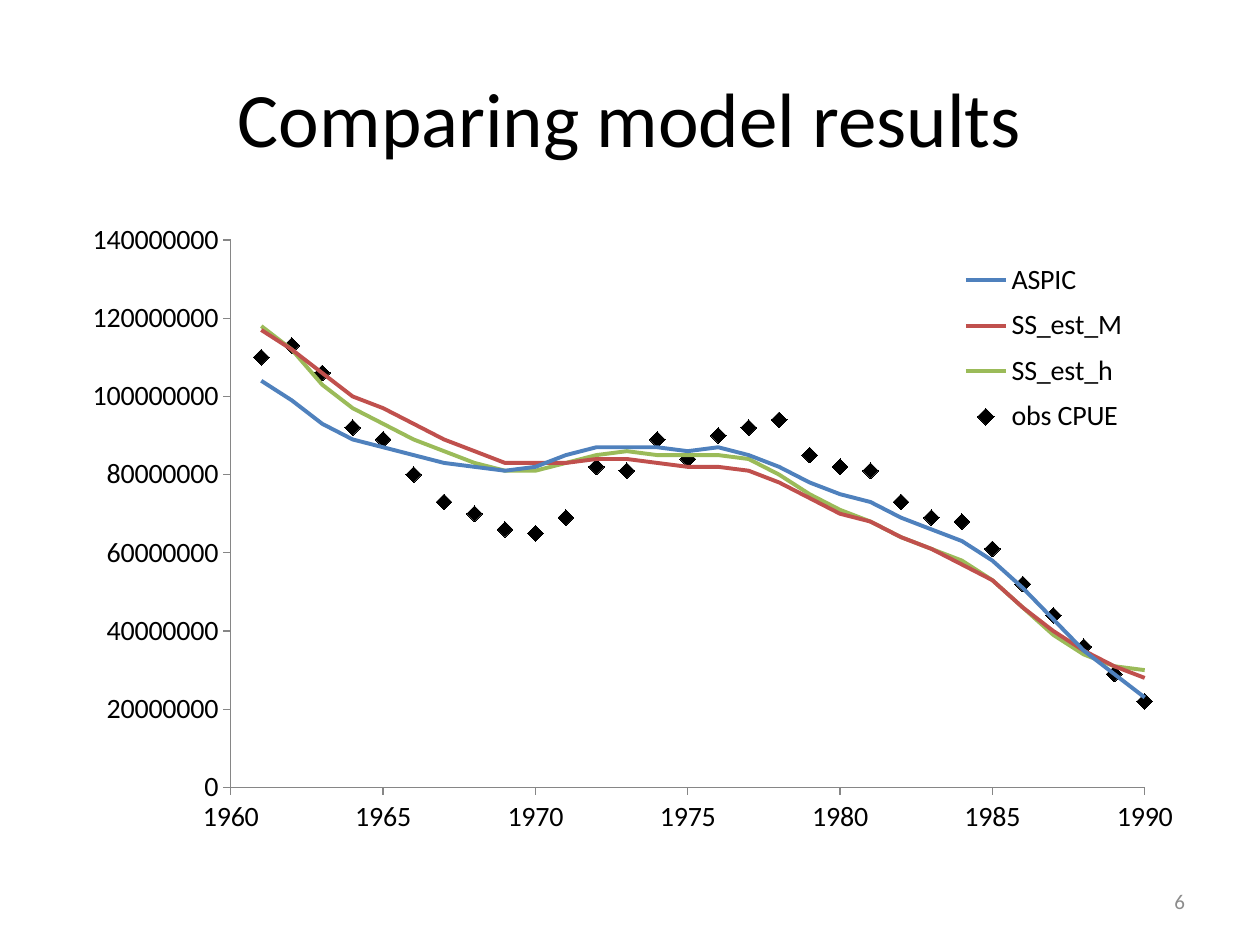
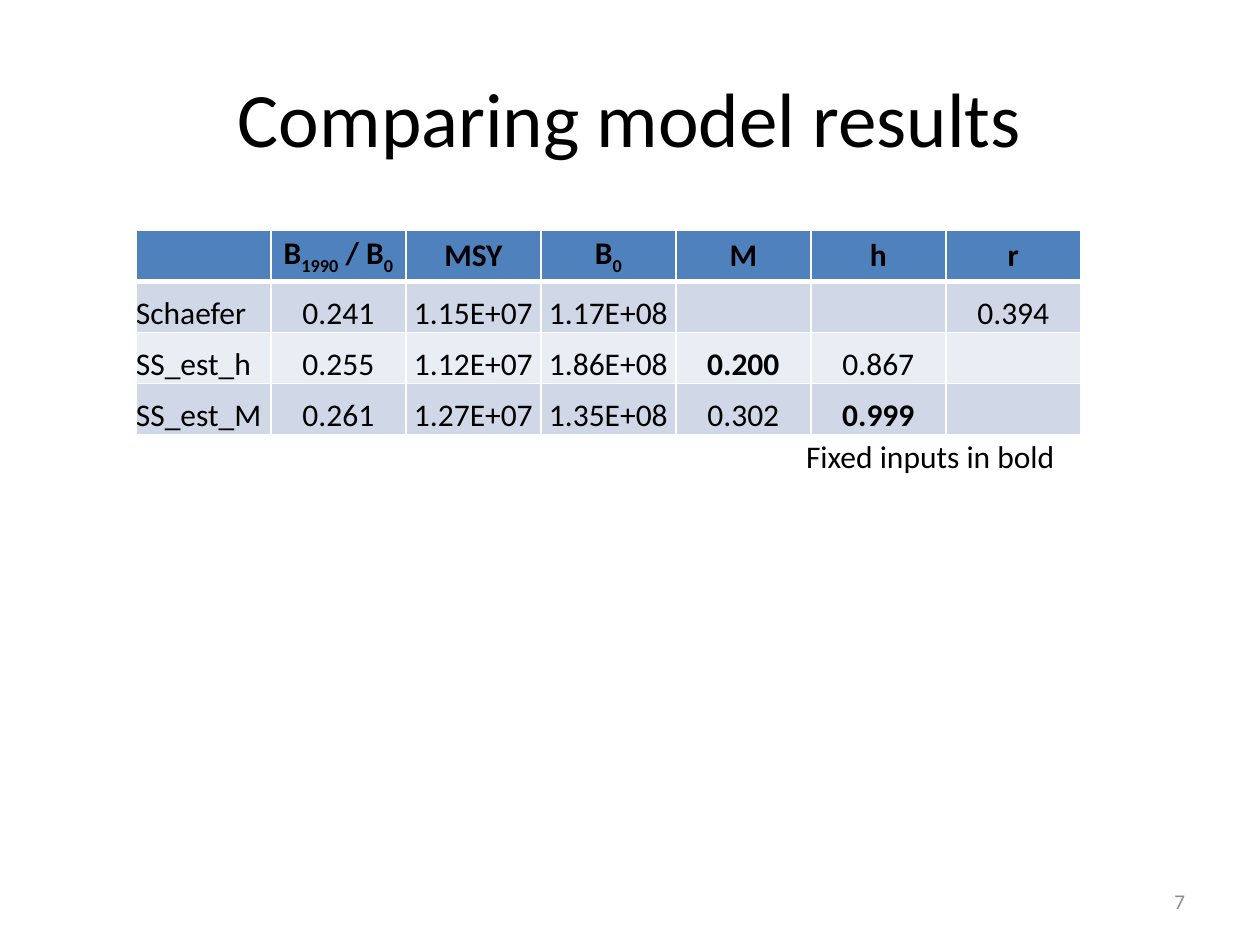
from lxml.etree import SubElement
from pptx import Presentation
from pptx.chart.data import XyChartData
from pptx.dml.color import RGBColor
from pptx.enum.chart import XL_CHART_TYPE as ChartType
from pptx.enum.chart import XL_LEGEND_POSITION as LegendSide
from pptx.enum.chart import XL_MARKER_STYLE as Marker
from pptx.enum.chart import XL_TICK_MARK as Tick
from pptx.enum.text import MSO_ANCHOR as Anchor
from pptx.enum.text import PP_ALIGN as Align
from pptx.oxml import parse_xml
from pptx.oxml.ns import nsdecls, qn
from pptx.util import Cm, Pt

# Shared look
FONT = "Calibri"
BLACK = RGBColor(0x00, 0x00, 0x00)
WHITE = RGBColor(0xFF, 0xFF, 0xFF)
GREY = RGBColor(0x8C, 0x8C, 0x8C)
AXIS_GREY = RGBColor(0x86, 0x86, 0x86)
BLUE = RGBColor(0x4F, 0x81, 0xBD)
RED = RGBColor(0xC0, 0x50, 0x4D)
GREEN = RGBColor(0x9B, 0xBB, 0x59)
BAND_DARK = RGBColor(0xD0, 0xD8, 0xE8)
BAND_LIGHT = RGBColor(0xE9, 0xED, 0xF4)

# Boxes in cm: left, top, width, height
TITLE_BOX = (1.27, 0.76, 22.86, 3.18)
CHART_BOX = (1.27, 4.45, 22.86, 12.57)
TABLE_BOX = (2.74, 4.65, 19.05, 4.11)
NOTE_BOX = (16, 8.69, 5.59, 1.02)
NUMBER_BOX = (18.21, 17.65, 5.93, 1.02)

# Biomass by year, in millions
YEARS = range(1961, 1991)
BIOMASS = {
    "ASPIC": (BLUE, [
        104, 99, 93, 89, 87, 85, 83, 82, 81, 82, 85, 87, 87, 87, 86,
        87, 85, 82, 78, 75, 73, 69, 66, 63, 58, 51, 43, 35, 29, 23]),
    "SS_est_M": (RED, [
        117, 112, 106, 100, 97, 93, 89, 86, 83, 83, 83, 84, 84, 83, 82,
        82, 81, 78, 74, 70, 68, 64, 61, 57, 53, 46, 40, 35, 31, 28]),
    "SS_est_h": (GREEN, [
        118, 112, 103, 97, 93, 89, 86, 83, 81, 81, 83, 85, 86, 85, 85,
        85, 84, 80, 75, 71, 68, 64, 61, 58, 53, 46, 39, 34, 31, 30]),
    "obs CPUE": (None, [
        110, 113, 106, 92, 89, 80, 73, 70, 66, 65, 69, 82, 81, 89, 84,
        90, 92, 94, 85, 82, 81, 73, 69, 68, 61, 52, 44, 36, 29, 22]),
}
MILLION = 1_000_000

# An underscore pair marks a subscript in the header
HEADER = ["", "B|1990| / B|0", "MSY", "B|0", "M", "h", "r"]
MODELS = [
    ["Schaefer", "0.241", "1.15E+07", "1.17E+08", "", "", "0.394"],
    ["SS_est_h", "0.255", "1.12E+07", "1.86E+08", "0.200", "0.867", ""],
    ["SS_est_M", "0.261", "1.27E+07", "1.35E+08", "0.302", "0.999", ""],
]
FIXED_INPUTS = {"0.200", "0.999"}


def apply(target, **formats):
    for attribute, value in formats.items():
        setattr(target, attribute, value)


def format_font(font, size, color=BLACK, bold=False):
    apply(font, name=FONT, size=Pt(size), bold=bold)
    font.color.rgb = color


def in_cm(box):
    return [Cm(length) for length in box]


def add_text(slide, box, text, size, color=BLACK, align=Align.LEFT,
             anchor=Anchor.TOP, wrap=True):
    frame = slide.shapes.add_textbox(*in_cm(box)).text_frame
    apply(frame, word_wrap=wrap, vertical_anchor=anchor, text=text)
    frame.paragraphs[0].alignment = align
    format_font(frame.paragraphs[0].font, size, color)


def add_titled_slide(deck, title, number):
    slide = deck.slides.add_slide(deck.slide_layouts[5])
    heading = slide.shapes.title
    left, top, width, height = in_cm(TITLE_BOX)
    apply(heading, left=left, top=top, width=width, height=height)
    apply(heading.text_frame, text=title, vertical_anchor=Anchor.MIDDLE)
    heading.text_frame.paragraphs[0].alignment = Align.CENTER
    format_font(heading.text_frame.paragraphs[0].font, 44)
    add_text(slide, NUMBER_BOX, str(number), 12, GREY, Align.RIGHT, Anchor.MIDDLE)
    return slide


# Chart parts
def place_in_chart(part, position, fractions, inner=False):
    """Give a plot area or legend a place as fractions of the chart."""
    for old in part.findall(qn("c:layout")):
        part.remove(old)
    layout = parse_xml(f"<c:layout {nsdecls('c')}><c:manualLayout/></c:layout>")
    settings = [("layoutTarget", "inner")] if inner else []
    settings += [("xMode", "edge"), ("yMode", "edge")]
    settings += zip("xywh", fractions)
    for tag, value in settings:
        SubElement(layout[0], qn(f"c:{tag}")).set("val", str(value))
    part.insert(position, layout)


def format_axis(axis, low, high, step):
    apply(axis, minimum_scale=low, maximum_scale=high, major_unit=step,
          has_major_gridlines=False, major_tick_mark=Tick.OUTSIDE,
          minor_tick_mark=Tick.NONE)
    apply(axis.tick_labels, number_format="0", number_format_is_linked=False)
    format_font(axis.tick_labels.font, 16)
    axis.format.line.color.rgb = AXIS_GREY
    axis.format.line.width = Pt(0.75)


def format_series(series, color):
    series.smooth = False
    if color is None:
        series.format.line.fill.background()
        apply(series.marker, style=Marker.DIAMOND, size=9)
        series.marker.format.fill.solid()
        series.marker.format.fill.fore_color.rgb = BLACK
        series.marker.format.line.color.rgb = BLACK
    else:
        series.marker.style = Marker.NONE
        series.format.line.width = Pt(2.25)
        series.format.line.color.rgb = color


def add_biomass_chart(slide, box):
    data = XyChartData()
    for name, (_, biomass) in BIOMASS.items():
        points = data.add_series(name)
        for year, millions in zip(YEARS, biomass):
            points.add_data_point(year, millions * MILLION)
    chart = slide.shapes.add_chart(
        ChartType.XY_SCATTER_LINES_NO_MARKERS, *in_cm(box), data).chart
    apply(chart, has_title=False, has_legend=True)
    format_font(chart.font, 10)
    chart.plots[0].vary_by_categories = False
    for series, (color, _) in zip(chart.plots[0].series, BIOMASS.values()):
        format_series(series, color)
    format_axis(chart.category_axis, 1960, 1990, 5)
    format_axis(chart.value_axis, 0, 140 * MILLION, 20 * MILLION)

    legend = chart.legend
    apply(legend, position=LegendSide.RIGHT, include_in_layout=False)
    format_font(legend.font, 16)
    place_in_chart(legend._element, 1, (0.78, 0.05, 0.17, 0.31))
    plot_area = chart._chartSpace.chart.plotArea
    place_in_chart(plot_area, 0, (0.148, 0.031, 0.806, 0.878), inner=True)


# Table parts
def add_borders(cell, **widths):
    properties = cell._tc.get_or_add_tcPr()
    for position, (side, points) in enumerate(widths.items()):
        properties.insert(position, parse_xml(
            f'<a:ln{side} {nsdecls("a")} w="{Pt(points)}"><a:solidFill>'
            f'<a:srgbClr val="{WHITE}"/></a:solidFill></a:ln{side}>'))


def fill_cell(cell, text, fill, align, anchor, bold):
    apply(cell, margin_left=0, margin_right=0, margin_top=0, margin_bottom=0,
          vertical_anchor=anchor)
    cell.fill.solid()
    cell.fill.fore_color.rgb = fill
    paragraph = cell.text_frame.paragraphs[0]
    paragraph.alignment = align
    format_font(paragraph.font, 18)
    for index, piece in enumerate(text.split("|") if text else []):
        run = paragraph.add_run()
        run.text = piece
        format_font(run.font, 18, bold=bold)
        if index % 2:
            run._r.get_or_add_rPr().set("baseline", "-25000")


def add_model_table(slide, box):
    rows = [HEADER, *MODELS]
    table = slide.shapes.add_table(len(rows), len(HEADER), *in_cm(box)).table
    for column in table.columns:
        column.width = Cm(box[2] / len(HEADER))
    for row_index, texts in enumerate(rows):
        table.rows[row_index].height = Cm(box[3] / len(rows))
        is_header = row_index == 0
        fill = BLUE if is_header else (BAND_LIGHT, BAND_DARK)[row_index % 2]
        anchor = Anchor.MIDDLE if is_header else Anchor.BOTTOM
        for column_index, text in enumerate(texts):
            cell = table.cell(row_index, column_index)
            align = Align.CENTER if is_header or column_index else Align.LEFT
            fill_cell(cell, text, fill, align, anchor,
                      bold=is_header or text in FIXED_INPUTS)
            add_borders(cell, L=1, R=1, T=3 if row_index == 1 else 1,
                        B=3 if is_header else 1)


def main():
    deck = Presentation()
    apply(deck, slide_width=Cm(25.4), slide_height=Cm(19.05))

    trends = add_titled_slide(deck, "Comparing model results", 6)
    add_biomass_chart(trends, CHART_BOX)

    estimates = add_titled_slide(deck, "Comparing model results", 7)
    add_model_table(estimates, TABLE_BOX)
    add_text(estimates, NOTE_BOX, "Fixed inputs in bold", 18, wrap=False)

    deck.save("out.pptx")


if __name__ == "__main__":
    main()
